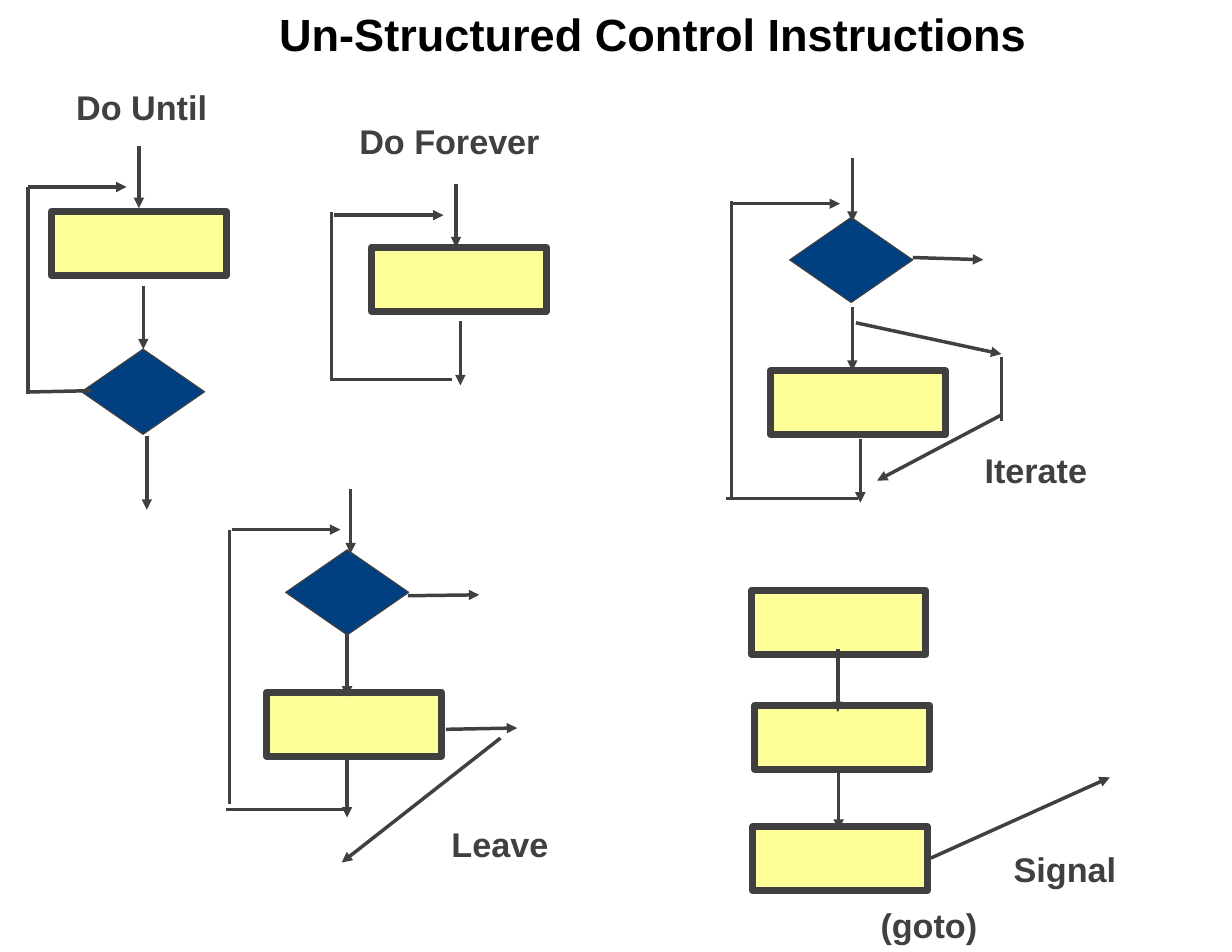
"""Build a slide of flowcharts for un-structured control instructions."""
from dataclasses import dataclass

import lxml.etree
import pptx
import pptx.dml.color
import pptx.enum.shapes
import pptx.enum.text
import pptx.oxml.ns
import pptx.util

Cm = pptx.util.Cm
Pt = pptx.util.Pt
Shape = pptx.enum.shapes.MSO_SHAPE
INK = "404040"
STEP_SIZE = (3.96, 1.45)
DECISION_SIZE = (2.79, 1.93)


@dataclass
class Label:
    text: str
    left: float
    top: float
    width: float
    height: float = 1.22
    size: int = 22
    color: str = INK


@dataclass
class Flowchart:
    labels: list[Label]
    decisions: list[tuple[float, float]]
    steps: list[tuple[float, float]]
    arrows: list[tuple[float, float, float, float]]
    lines: list[tuple[float, float, float, float]]


TITLE = Label("Un-Structured Control Instructions", 6.05, 0, 17.53, 1.52, 29, "000000")

FLOWCHARTS = [
    Flowchart(
        labels=[Label("Do Until", 1.45, 1.8, 3.53)],
        decisions=[(1.85, 7.92)],
        steps=[(1.17, 4.8)],
        arrows=[
            (3.25, 6.48, 3.25, 7.92),
            (3.15, 3.3, 3.15, 4.72),
            (0.64, 4.24, 2.87, 4.24),
            (3.33, 9.88, 3.33, 11.56),
        ],
        lines=[(2.08, 8.86, 0.64, 8.89), (0.64, 4.24, 0.64, 8.94)],
    ),
    Flowchart(
        labels=[Label("Do Forever", 7.87, 2.57, 4.65)],
        decisions=[],
        steps=[(8.43, 5.61)],
        arrows=[
            (10.44, 7.29, 10.44, 8.74),
            (7.57, 4.88, 10.06, 4.88),
            (10.34, 4.17, 10.34, 5.61),
        ],
        lines=[(10.26, 8.61, 7.52, 8.61), (7.52, 8.64, 7.52, 4.8)],
    ),
    Flowchart(
        labels=[Label("Iterate", 22.05, 10.03, 2.9)],
        decisions=[(17.91, 4.93)],
        steps=[(17.48, 8.41)],
        arrows=[
            (19.33, 3.58, 19.33, 5.03),
            (19.51, 9.96, 19.51, 11.4),
            (16.59, 4.62, 19.05, 4.62),
            (19.33, 6.96, 19.33, 8.41),
            (19.41, 7.32, 22.71, 8.03),
            (22.73, 9.4, 19.89, 10.9),
            (20.7, 5.84, 22.3, 5.89),
        ],
        lines=[
            (19.46, 11.3, 16.46, 11.3),
            (16.59, 11.3, 16.59, 4.55),
            (22.71, 8.1, 22.71, 9.55),
        ],
    ),
    Flowchart(
        labels=[Label("Leave", 9.96, 18.52, 2.77)],
        decisions=[(6.48, 12.47)],
        steps=[(6.05, 15.7)],
        arrows=[
            (7.87, 14.35, 7.87, 15.8),
            (7.95, 11.1, 7.95, 12.55),
            (7.87, 17.09, 7.87, 18.54),
            (5.26, 12.01, 7.72, 12.01),
            (9.25, 13.51, 10.87, 13.49),
            (10.11, 16.54, 11.73, 16.51),
            (11.35, 16.74, 7.75, 19.56),
        ],
        lines=[(7.87, 18.36, 5.13, 18.36), (5.21, 18.24, 5.21, 12.01)],
    ),
    Flowchart(
        labels=[Label("Signal", 22.71, 19.1, 2.9), Label("(goto)", 19.69, 20.37, 2.77)],
        decisions=[],
        steps=[(17.04, 13.39), (17.12, 16), (17.07, 18.75)],
        arrows=[
            (19, 14.71, 19, 16.15),
            (19.02, 17.4, 19.02, 18.82),
            (21.11, 19.46, 25.17, 17.63),
        ],
        lines=[],
    ),
]


def rgb(code: str) -> pptx.dml.color.RGBColor:
    return pptx.dml.color.RGBColor.from_string(code)


def draw_label(slide, label: Label) -> None:
    box = slide.shapes.add_textbox(
        Cm(label.left), Cm(label.top), Cm(label.width), Cm(label.height))
    frame = box.text_frame
    frame.word_wrap = False
    frame.auto_size = pptx.enum.text.MSO_AUTO_SIZE.SHAPE_TO_FIT_TEXT
    frame.margin_left = frame.margin_right = Cm(0.28)
    frame.margin_top = frame.margin_bottom = Cm(0.15)
    paragraph = frame.paragraphs[0]
    paragraph.text = label.text
    paragraph.font.name = "Arial"
    paragraph.font.size = Pt(label.size)
    paragraph.font.bold = True
    paragraph.font.color.rgb = rgb(label.color)


def draw_node(slide, kind: Shape, corner: tuple[float, float],
              size: tuple[float, float], fill: str, border: float) -> None:
    node = slide.shapes.add_shape(kind, *map(Cm, corner + size))
    node.shadow.inherit = False
    node.fill.solid()
    node.fill.fore_color.rgb = rgb(fill)
    node.line.color.rgb = rgb(INK)
    node.line.width = Pt(border)


def draw_line(slide, ends: tuple[float, float, float, float], arrow: bool) -> None:
    connector = slide.shapes.add_connector(
        pptx.enum.shapes.MSO_CONNECTOR.STRAIGHT, *map(Cm, ends))
    connector.line.color.rgb = rgb(INK)
    connector.line.width = Pt(2.25)
    qn = pptx.oxml.ns.qn
    if arrow:
        lxml.etree.SubElement(connector.line._get_or_add_ln(), qn("a:tailEnd"), type="triangle")
    lxml.etree.SubElement(connector._element.spPr, qn("a:effectLst"))


def draw_flowchart(slide, chart: Flowchart) -> None:
    for corner in chart.decisions:
        draw_node(slide, Shape.FLOWCHART_DECISION, corner, DECISION_SIZE, "004080", 0.75)
    for corner in chart.steps:
        draw_node(slide, Shape.RECTANGLE, corner, STEP_SIZE, "FFFF99", 4.5)
    for ends in chart.lines:
        draw_line(slide, ends, arrow=False)
    for ends in chart.arrows:
        draw_line(slide, ends, arrow=True)
    for label in chart.labels:
        draw_label(slide, label)


def main() -> None:
    deck = pptx.Presentation()
    deck.slide_width = Cm(27.94)
    deck.slide_height = Cm(21.59)
    slide = deck.slides.add_slide(deck.slide_layouts[6])
    draw_label(slide, TITLE)
    for chart in FLOWCHARTS:
        draw_flowchart(slide, chart)
    deck.save("out.pptx")


if __name__ == "__main__":
    main()
